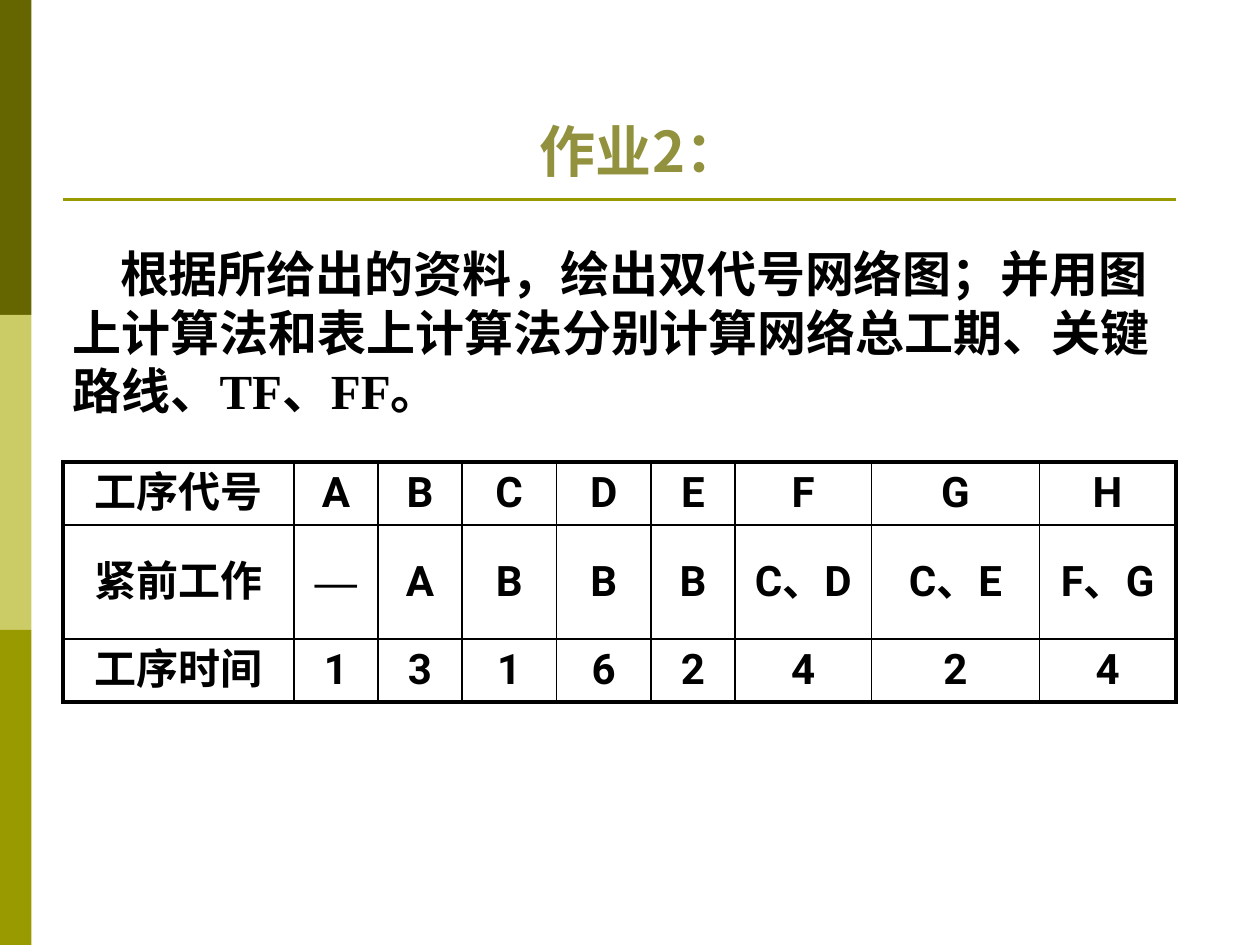
from lxml.etree import SubElement
from pptx import Presentation
from pptx.dml.color import RGBColor
from pptx.enum.shapes import MSO_CONNECTOR, MSO_SHAPE
from pptx.enum.text import MSO_ANCHOR, PP_ALIGN
from pptx.oxml.ns import qn
from pptx.util import Pt

COLORS = {
    "dark": "666600",
    "light": "CCCC66",
    "olive": "999900",
    "title": "91913E",
    "ink": "000000",
}
HAN, SANS, SERIF = "Noto Sans CJK SC", "Roboto", "Times New Roman"


class SlideBuilder:
    """Holds the colours and the current slide, and draws each kind of element."""

    def __init__(self, page, colors):
        self.page = page
        self.colors = colors

    def color(self, name):
        return RGBColor.from_string(self.colors[name])

    def band(self, left, top, width, height, color):
        shape = self.page.shapes.add_shape(
            MSO_SHAPE.RECTANGLE, Pt(left), Pt(top), Pt(width), Pt(height))
        shape.shadow.inherit = False
        shape.fill.solid()
        shape.fill.fore_color.rgb = self.color(color)
        shape.line.fill.background()

    def rule(self, left, right, top, color, weight):
        line = self.page.shapes.add_connector(
            MSO_CONNECTOR.STRAIGHT, Pt(left), Pt(top), Pt(right), Pt(top))
        line.line.color.rgb = self.color(color)
        line.line.width = Pt(weight)
        SubElement(line._element.spPr, qn("a:effectLst"))

    def set_text(self, para, text, size, color, latin, asian, align):
        para.text = text
        para.alignment = align
        font = para.font
        font.size, font.bold, font.name = Pt(size), True, latin
        font.color.rgb = self.color(color)
        latin_tag = para._p.pPr.find(qn("a:defRPr")).find(qn("a:latin"))
        asian_tag = SubElement(latin_tag.getparent(), qn("a:ea"), typeface=asian)
        latin_tag.addnext(asian_tag)

    def text_box(self, left, top, width, height, indent, paragraphs):
        box = self.page.shapes.add_textbox(Pt(left), Pt(top), Pt(width), Pt(height))
        frame = box.text_frame
        frame.word_wrap = True
        for index, (spacing, before, style) in enumerate(paragraphs):
            para = frame.add_paragraph() if index else frame.paragraphs[0]
            para._p.get_or_add_pPr().set("indent", str(Pt(indent)))
            para.line_spacing = Pt(spacing)
            if before:
                para.space_before = Pt(before)
            self.set_text(para, *style)

    def border(self, cell, side, weight):
        line = SubElement(cell._tc.get_or_add_tcPr(), qn(f"a:ln{side}"), w=str(Pt(weight)))
        fill = SubElement(line, qn("a:solidFill"))
        SubElement(fill, qn("a:srgbClr"), val=self.colors["ink"])

    def table(self, left, top, widths, heights, rows, size, inner, outer):
        frame = self.page.shapes.add_table(
            len(rows), len(widths), Pt(left), Pt(top), Pt(sum(widths)), Pt(sum(heights)))
        table = frame.table
        table.first_row = table.horz_banding = False
        for column, width in zip(table.columns, widths):
            column.width = Pt(width)
        for row, height in zip(table.rows, heights):
            row.height = Pt(height)
        for r, values in enumerate(rows):
            for c, value in enumerate(values):
                cell = table.cell(r, c)
                edges = {"L": c == 0, "R": c == len(widths) - 1,
                         "T": r == 0, "B": r == len(rows) - 1}
                for side, outside in edges.items():
                    self.border(cell, side, outer if outside else inner)
                cell.fill.background()
                cell.vertical_anchor = MSO_ANCHOR.MIDDLE
                font = SERIF if value == "—" else SANS
                self.set_text(cell.text_frame.paragraphs[0], value, size, "ink",
                              font, font, PP_ALIGN.CENTER)


def main():
    deck = Presentation()
    deck.slide_width, deck.slide_height = Pt(720), Pt(540)
    builder = SlideBuilder(deck.slides.add_slide(deck.slide_layouts[6]), COLORS)

    for index, color in enumerate(("dark", "light", "olive")):
        builder.band(0, 180 * index, 18, 180, color)
    builder.rule(36, 672, 114, "olive", 1.5)

    task = ("根据所给出的资料，绘出双代号网络图；并用图上计算法和表上计算法"
            "分别计算网络总工期、关键路线、TF、FF。")
    builder.text_box(34.5, 60.5, 636, 181.5, 27, [
        (41, 0, ("作业2：", 32, "title", HAN, HAN, PP_ALIGN.CENTER)),
        (33.4, 34.5, (task, 28, "ink", SERIF, HAN, PP_ALIGN.LEFT)),
    ])

    rows = [
        ["工序代号", *"ABCDEFGH"],
        ["紧前工作", "—", "A", "B", "B", "B", "C、D", "C、E", "F、G"],
        ["工序时间", *"13162424"],
    ]
    widths = [132, 48, 48, 54, 54, 48, 78, 96, 78]
    builder.table(36, 264, widths, [36, 65, 36], rows, 24, 1, 2.25)
    deck.save("out.pptx")


if __name__ == "__main__":
    main()
